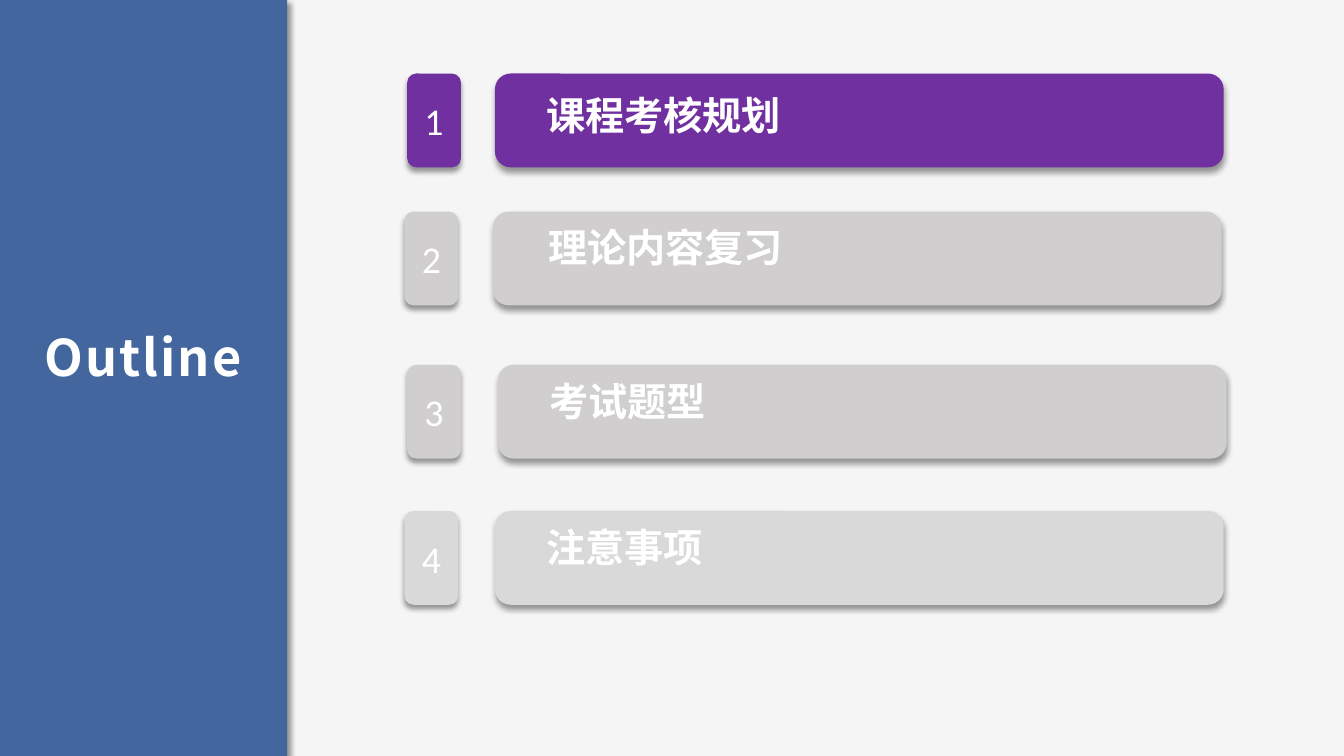
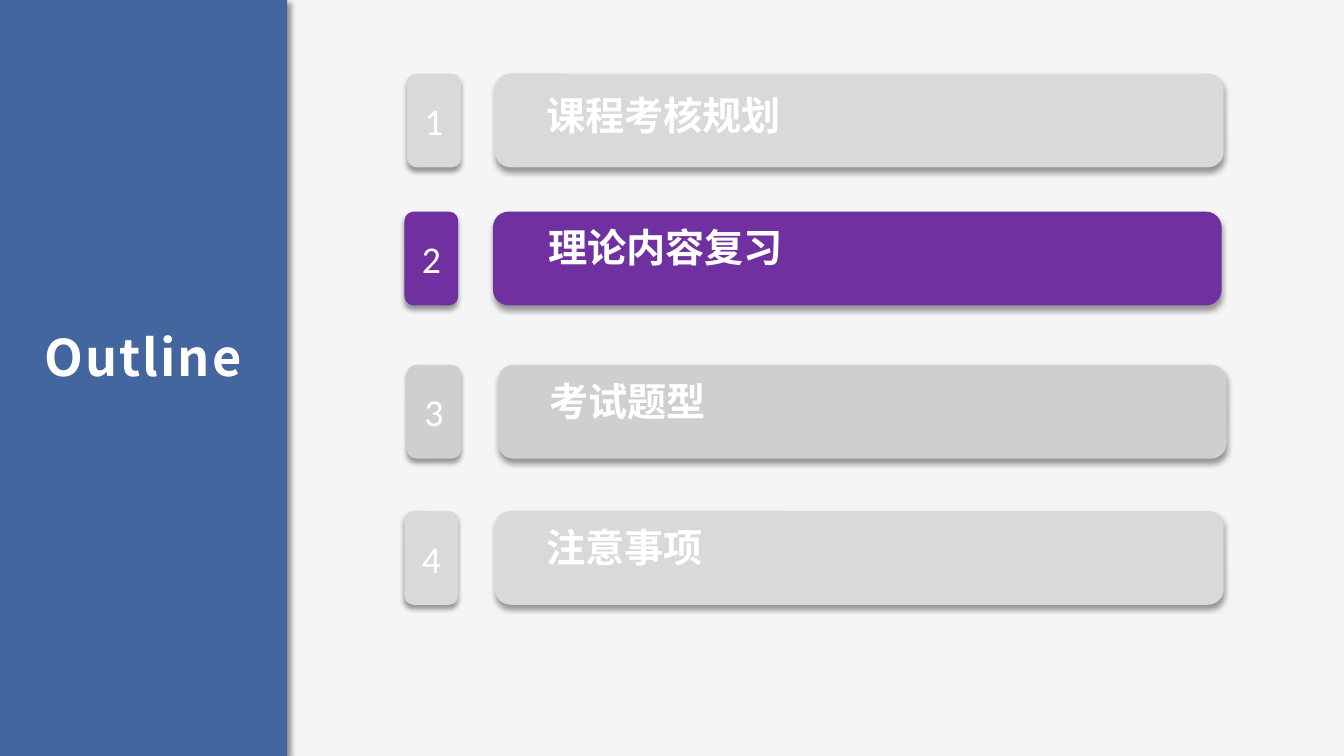
from lxml.etree import SubElement
from pptx import Presentation
from pptx.dml.color import RGBColor
from pptx.enum.shapes import MSO_SHAPE as Kind
from pptx.enum.text import MSO_ANCHOR as Anchor, MSO_AUTO_SIZE as Fit, PP_ALIGN as Align
from pptx.oxml.ns import qn
from pptx.util import Inches, Pt

COLORS = {
    "back": "F5F5F5",
    "band": "44669E",
    "active": "7030A0",
    "warm": "D0CECE",
    "cool": "D9D9D9",
    "text": "FFFFFF",
    "shadow": "000000",
}
HEAD_FONT = "Noto Sans CJK SC"
NUMBER_FONT = "Calibri"

deck = Presentation()
deck.slide_width = Inches(13.33)
deck.slide_height = Inches(7.5)
back = deck.slide_master.background.fill
back.solid()
back.fore_color.rgb = RGBColor.from_string(COLORS["back"])


def draw(shapes, kind, left, top, width, height, color, angle=None):
    across, down = deck.slide_width / 100, deck.slide_height / 100
    shape = shapes.add_shape(kind, round(left * across), round(top * down),
                             round(width * across), round(height * down))
    shape.shadow.inherit = False
    shape.line.fill.background()
    if color:
        shape.fill.solid()
        shape.fill.fore_color.rgb = RGBColor.from_string(COLORS[color])
    else:
        shape.fill.background()
    if angle is not None:
        effects = shape._element.spPr.find(qn("a:effectLst"))
        outer = SubElement(effects, qn("a:outerShdw"), blurRad=str(Pt(4)), dist=str(Pt(3)),
                           dir=str(angle * 60000), algn="ctr", rotWithShape="0")
        tint = SubElement(outer, qn("a:srgbClr"), val=COLORS["shadow"])
        SubElement(tint, qn("a:alpha"), val="40000")
    return shape


def write(shape, text, size, font=HEAD_FONT, bold=True, align=Align.LEFT,
          anchor=Anchor.TOP, fit=Fit.SHAPE_TO_FIT_TEXT, spacing=0):
    box = shape.text_frame
    box.word_wrap = True
    box.auto_size = fit
    box.vertical_anchor = anchor
    para = box.paragraphs[0]
    para.alignment = align
    span = para.add_run()
    span.text = text
    span.font.size = Pt(size)
    span.font.bold = bold
    span.font.color.rgb = RGBColor.from_string(COLORS["text"])
    span.font.name = font
    props = span.font._element
    SubElement(props, qn("a:ea"), typeface=font)
    if spacing:
        props.set("spc", str(round(spacing * 100)))


TOPICS = [
    ("课程考核规划", 9.73, 30.3, 36.83, 39.9, 1.73, 38.4),
    ("理论内容复习", 28, 30.1, 36.68, 40.05, 0.93, 49.13),
    ("考试题型", 48.27, 30.3, 37.05, 40.13, 0.93, 49.13),
    ("注意事项", 67.6, 30.1, 36.83, 39.9, 0.93, 49.13),
]
ROW_COLORS = [
    ["active", "warm", "warm", "cool"],
    ["cool", "active", "warm", "cool"],
]
ROW_HEIGHT = 12.4
LABEL_HEIGHT = 9.47

for colors in ROW_COLORS:
    page = deck.slides.add_slide(deck.slide_layouts[6])
    draw(page.shapes, Kind.RECTANGLE, 0, 0, 21.37, 100, "band", angle=45)
    title = draw(page.shapes, Kind.RECTANGLE, 2.02, 42.53, 17.25, LABEL_HEIGHT, None)
    write(title, "Outline", 36, align=Align.CENTER, spacing=1.5)

    for number, (topic, color) in enumerate(zip(TOPICS, colors), start=1):
        text, top, tile_left, bar_left, label_left, drop, label_width = topic
        tile = draw(page.shapes, Kind.ROUNDED_RECTANGLE, tile_left, top, 4, ROW_HEIGHT,
                    color, angle=90)
        write(tile, str(number), 27, font=NUMBER_FONT, bold=False, align=Align.CENTER,
              anchor=Anchor.MIDDLE, fit=Fit.NONE)
        row = page.shapes.add_group_shape().shapes
        draw(row, Kind.ROUNDED_RECTANGLE, bar_left, top, 54.22, ROW_HEIGHT, color, angle=90)
        label = draw(row, Kind.RECTANGLE, label_left, top + drop, label_width, LABEL_HEIGHT, color)
        write(label, text, 28)

deck.save("out.pptx")
